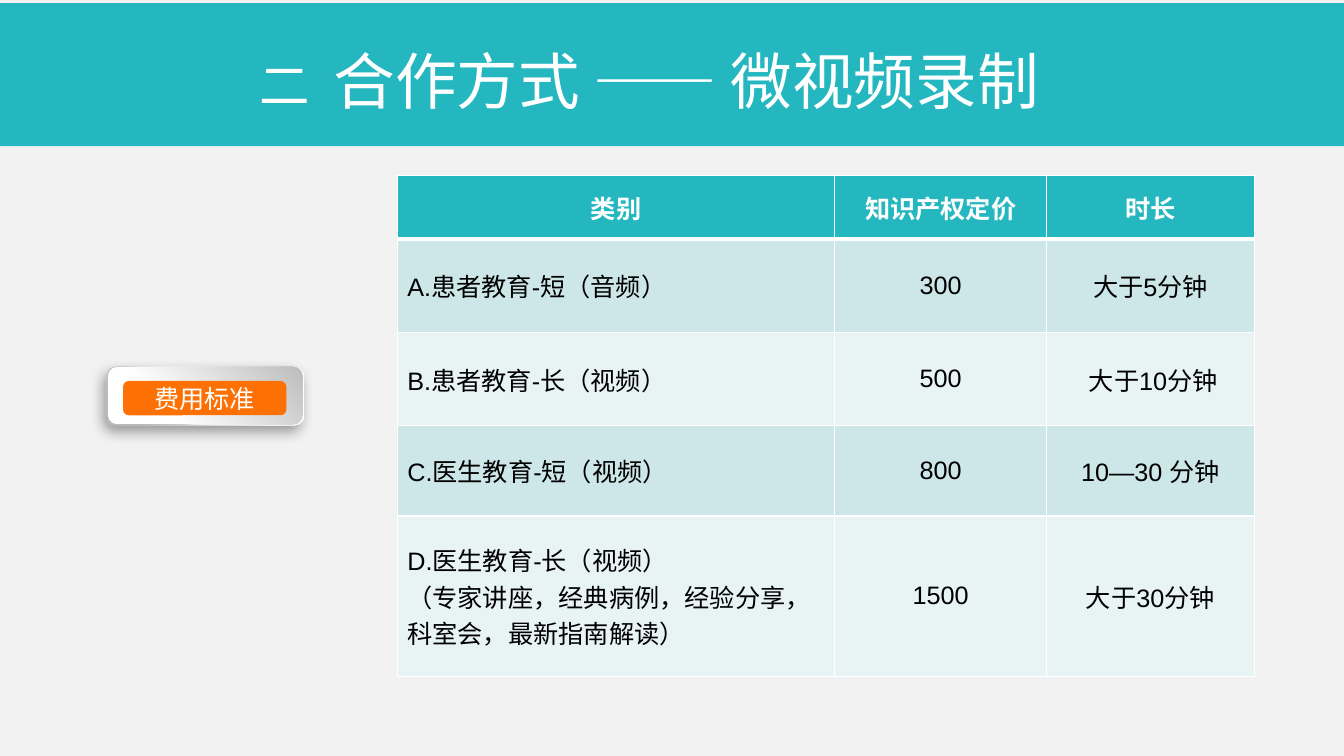
from lxml.etree import SubElement
from pptx import Presentation
from pptx.dml.color import RGBColor
from pptx.enum.shapes import MSO_SHAPE as Preset
from pptx.enum.text import MSO_ANCHOR as Anchor, PP_ALIGN as Align
from pptx.oxml.ns import qn
from pptx.util import Inches, Pt

TEAL = RGBColor(0x25, 0xB7, 0xC0)
ORANGE = RGBColor(0xFD, 0x71, 0x04)
WHITE = RGBColor(0xFF, 0xFF, 0xFF)
BLACK = RGBColor(0x00, 0x00, 0x00)
PAPER = RGBColor(0xF2, 0xF2, 0xF2)
SILVER = RGBColor(0xB8, 0xB8, 0xB8)
LIGHT_SILVER = RGBColor(0xBF, 0xBF, 0xBF)
BANDS = (RGBColor(0xCD, 0xE6, 0xE8), RGBColor(0xE8, 0xF3, 0xF4))
CJK = "Noto Sans CJK SC"

COLUMNS = (4.34, 2.1, 2.06)
ROWS = (0.63, 0.93, 0.92, 0.9, 1.59)
PRICES = (
    ("类别", "知识产权定价", "时长"),
    ("A.患者教育-短（音频）", "300", "大于5分钟"),
    ("B.患者教育-长（视频）", "500", " 大于10分钟"),
    ("C.医生教育-短（视频）", "800", "10—30 分钟"),
    ("D.医生教育-长（视频）\n（专家讲座，经典病例，经验分享，科室会，最新指南解读）", "1500", "大于30分钟"),
)


def write(paragraph, text, size=18, font="Arial", color=BLACK, bold=False,
          align=Align.CENTER, spacing=0):
    paragraph.alignment = align
    run = paragraph.add_run()
    run.text = text
    run.font.size = Pt(size)
    run.font.name = font
    run.font.bold = bold
    run.font.color.rgb = color
    properties = run._r.get_or_add_rPr()
    SubElement(properties, qn("a:ea"), typeface=CJK)
    if spacing:
        properties.set("spc", str(int(spacing * 100)))


class PriceSlide:
    """Draws the elements of the fee slide in one shared style."""

    def __init__(self, deck):
        self.slide = deck.slides.add_slide(deck.slide_layouts[6])
        background = self.slide.background.fill
        background.solid()
        background.fore_color.rgb = PAPER

    def panel(self, preset, left, top, width, height, color=None):
        panel = self.slide.shapes.add_shape(
            preset, Inches(left), Inches(top), Inches(width), Inches(height))
        panel.shadow.inherit = False
        panel.line.fill.background()
        if color is not None:
            panel.fill.solid()
            panel.fill.fore_color.rgb = color
        return panel

    def metal(self, left, top, width, height, rotation, stops):
        plate = self.panel(Preset.ROUNDED_RECTANGLE, left, top, width, height)
        plate.rotation = rotation
        plate.fill.gradient()
        plate.fill.gradient_angle = 315
        for stop, (position, color) in zip(plate.fill.gradient_stops, stops):
            stop.position = position
            stop.color.rgb = color
        return plate

    def drop_shadow(self, plate, blur, distance, angle, opacity):
        effects = plate._element.spPr.find(qn("a:effectLst"))
        shadow = SubElement(
            effects, qn("a:outerShdw"), blurRad=str(Pt(blur)), dist=str(Pt(distance)),
            dir=str(angle * 60000), algn="ctr", rotWithShape="0")
        shade = SubElement(shadow, qn("a:srgbClr"), val=str(BLACK))
        SubElement(shade, qn("a:alpha"), val=str(opacity * 1000))

    def title(self, left, top, width, height, *parts):
        heading = self.slide.shapes.add_textbox(
            Inches(left), Inches(top), Inches(width), Inches(height)).text_frame
        heading.word_wrap = False
        for text, style in parts:
            write(heading.paragraphs[0], text, font="Montserrat", color=WHITE, **style)

    def border(self, cell, **widths):
        properties = cell._tc.get_or_add_tcPr()
        for side, width in widths.items():
            edge = SubElement(properties, qn(f"a:ln{side}"), w=str(Pt(width)))
            SubElement(SubElement(edge, qn("a:solidFill")), qn("a:srgbClr"), val=str(WHITE))

    def table(self, left, top, content):
        prices = self.slide.shapes.add_table(
            len(ROWS), len(COLUMNS), Inches(left), Inches(top),
            Inches(sum(COLUMNS)), Inches(sum(ROWS))).table
        for column, width in zip(prices.columns, COLUMNS):
            column.width = Inches(width)
        for row, height in zip(prices.rows, ROWS):
            row.height = Inches(height)
        for r, entries in enumerate(content):
            header = r == 0
            for c, entry in enumerate(entries):
                cell = prices.cell(r, c)
                self.border(cell, L=1, R=1, T=3 if r == 1 else 1, B=3 if header else 1)
                cell.fill.solid()
                cell.fill.fore_color.rgb = TEAL if header else BANDS[(r - 1) % 2]
                cell.vertical_anchor = Anchor.MIDDLE
                for i, line in enumerate(entry.split("\n")):
                    frame = cell.text_frame
                    paragraph = frame.add_paragraph() if i else frame.paragraphs[0]
                    write(paragraph, line, color=WHITE if header else BLACK, bold=header,
                          align=Align.CENTER if header or c else Align.LEFT)

    def badge(self, text):
        rim = self.metal(1.75, 2.95, 0.58, 1.96, 90, ((0.17, WHITE), (0.88, SILVER)))
        self.drop_shadow(rim, blur=10, distance=5, angle=123, opacity=39)
        self.metal(1.75, 2.96, 0.57, 1.93, 270, ((0.29, WHITE), (0.98, LIGHT_SILVER)))
        label = self.panel(Preset.ROUNDED_RECTANGLE, 1.22, 3.78, 1.62, 0.34, ORANGE)
        label.text_frame.vertical_anchor = Anchor.MIDDLE
        write(label.text_frame.paragraphs[0], text, font=CJK, color=WHITE)


def main():
    deck = Presentation()
    deck.slide_width, deck.slide_height = Inches(13.33), Inches(7.5)
    page = PriceSlide(deck)
    page.panel(Preset.RECTANGLE, 0, 0.03, 13.33, 1.42, TEAL)
    page.title(2.26, 0.38, 8.36, 0.84,
               ("二 ", {"size": 36, "spacing": 4.5}),
               ("合作方式 —— 微视频录制", {"size": 44}))
    page.badge("费用标准")
    page.table(3.94, 1.74, PRICES)
    deck.save("out.pptx")


if __name__ == "__main__":
    main()
